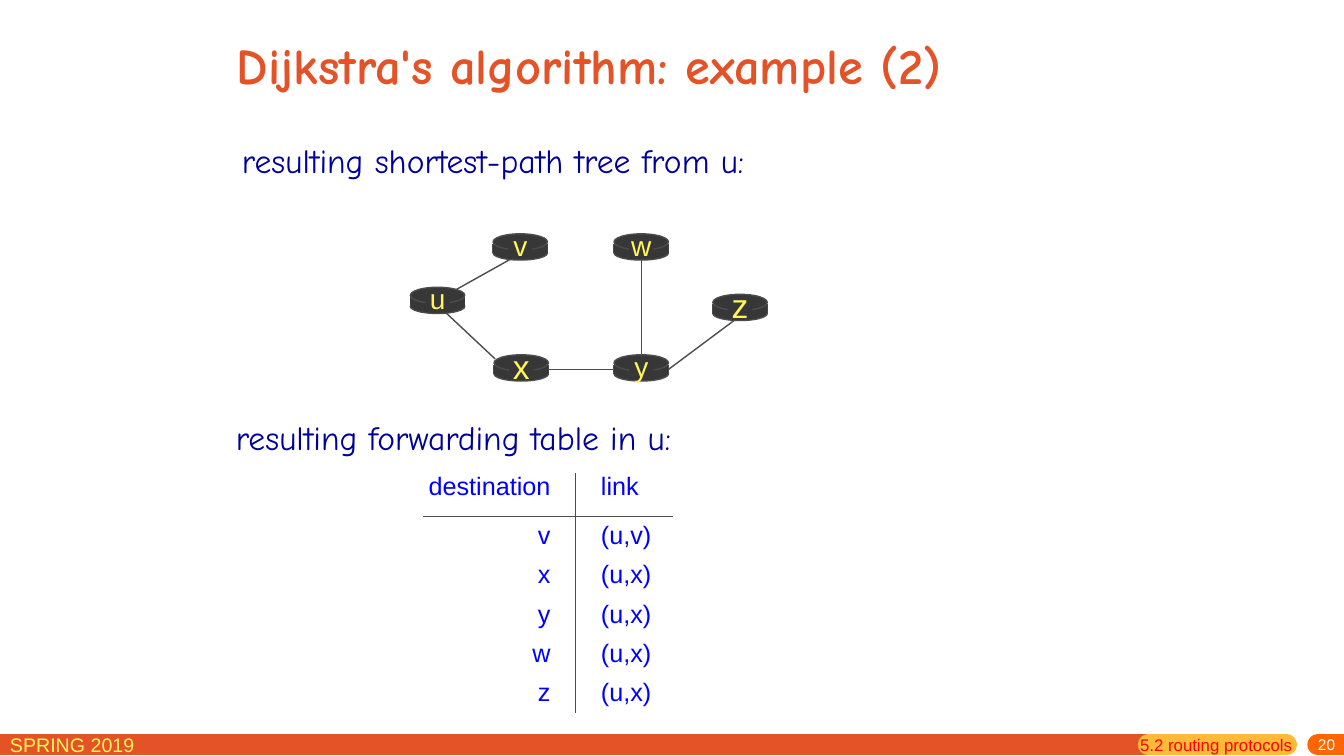
from lxml import etree
from pptx import Presentation
from pptx.dml.color import RGBColor
from pptx.enum.shapes import MSO_CONNECTOR, MSO_SHAPE
from pptx.enum.text import MSO_ANCHOR, MSO_AUTO_SIZE, PP_ALIGN
from pptx.oxml.ns import qn
from pptx.util import Inches, Pt

STRAIGHT = MSO_CONNECTOR.STRAIGHT
RECT, OVAL = MSO_SHAPE.RECTANGLE, MSO_SHAPE.OVAL
LEFT, MID, RIGHT = PP_ALIGN.LEFT, PP_ALIGN.CENTER, PP_ALIGN.RIGHT
TOP, CENTER = MSO_ANCHOR.TOP, MSO_ANCHOR.MIDDLE
FIXED = MSO_AUTO_SIZE.NONE

COLORS = {
    "orange": "E45327", "amber": "FFBA37", "badge": "FF6600",
    "lemon": "FFF65C", "white": "FFFFFF", "red": "FF0000",
    "navy": "000099", "blue": "0000FF", "gray": "4C4C4C", "dark": "373737",
}
HEAD, BODY = "Comic Neue", "Arial"


def color(name):
    return RGBColor.from_string(COLORS[name])


def write(frame, words, size, tint, font=BODY, align=LEFT, bold=False):
    para = frame.paragraphs[0]
    para.alignment = align
    run = para.add_run()
    run.text = words
    run.font.name = font
    run.font.size = Pt(size)
    run.font.bold = bold
    run.font.color.rgb = color(tint)


def inset(part, left, top, right, bottom):
    part.margin_left, part.margin_right = Inches(left), Inches(right)
    part.margin_top, part.margin_bottom = Inches(top), Inches(bottom)


def label(shapes, box, words, size, tint, font=BODY, align=LEFT):
    item = shapes.add_textbox(*map(Inches, box))
    item.text_frame.word_wrap = True
    write(item.text_frame, words, size, tint, font, align)
    return item.text_frame


def line(shapes, start, end, tint="gray", width=1):
    item = shapes.add_connector(STRAIGHT, *map(Inches, (*start, *end)))
    item.line.color.rgb = color(tint)
    item.line.width = Pt(width)
    etree.SubElement(item._element.spPr, qn("a:effectLst"))
    return item


def block(shapes, kind, x, y, w, h, edge=False):
    item = shapes.add_shape(kind, *map(Inches, (x, y, w, h)))
    item.shadow.inherit = False
    item.fill.solid()
    item.fill.fore_color.rgb = color("dark")
    if edge:
        item.line.color.rgb = color("gray")
        item.line.width = Pt(1)
    else:
        item.line.fill.background()
    return item


def title(slide, box):
    item = slide.shapes.title
    item.left, item.top, item.width, item.height = map(Inches, box)
    frame = item.text_frame
    frame.auto_size = FIXED
    frame.vertical_anchor = CENTER
    write(frame, "Dijkstra's algorithm: example (2)", 36, "orange", HEAD, bold=True)


def footer(slide, box):
    x, y, w, h = box
    shapes = slide.shapes
    mid = y + h / 2
    for start, end, tint in (
        (0, 11.39, "orange"), (11.39, 12.76, "amber"), (13.07, w, "badge"),
    ):
        bar = line(shapes, (x + start, mid), (x + end, mid), tint, 15)
        bar.line._get_or_add_ln().set("cap", "rnd")
    label(shapes, (x, y - 0.06, 2.29, 0.31), "SPRING 2019", 14, "lemon")
    number = label(shapes, (x + 10.75, y + 0.04, 2.59, 0.18), "20", 11, "white", align=RIGHT)
    inset(number, 0.1, 0, 0.1, 0.05)
    number.vertical_anchor = CENTER
    label(shapes, (x + 11.21, y - 0.04, 1.84, 0.31), "5.2 routing protocols", 12, "red")


def router(slide, x, y, name, size):
    shapes = slide.shapes.add_group_shape().shapes
    wide = 0.54
    block(shapes, OVAL, x, y + 0.12, wide, 0.14, True)
    for side in (x, x + wide):
        line(shapes, (side, y + 0.1), (side, y + 0.19))
    body = block(shapes, RECT, x, y + 0.1, wide, 0.09)
    block(shapes, OVAL, x, y, wide, 0.16, True)
    tag = block(shapes, RECT, x + 0.15, y + 0.02, 0.24, 0.23)
    frame = tag.text_frame
    frame.word_wrap = False
    frame.vertical_anchor = CENTER
    inset(frame, 0, 0, 0, 0.05)
    write(frame, name, size, "lemon", align=MID)
    return body, tag


def tree(slide, box):
    x, y = box[:2]
    shapes = slide.shapes

    def link(start, end):
        return line(shapes, (x + start[0], y + start[1]), (x + end[0], y + end[1]))

    link((0.46, 0.55), (1.05, 0.22))
    nodes = {}
    for name, dx, dy, size in (
        ("u", 0, 0.53, 20), ("x", 0.83, 1.2, 24), ("v", 0.82, 0, 20),
        ("w", 2.02, 0, 20), ("y", 2.02, 1.2, 20), ("z", 3, 0.6, 24),
    ):
        nodes[name] = router(slide, x + dx, y + dy, name, size)
    link((0.84, 1.24), (0.36, 0.79))
    drop = link((2.29, 0.25), (2.29, 1.22))
    drop.begin_connect(nodes["w"][1], 2)
    drop.end_connect(nodes["y"][1], 0)
    span = link((2.02, 1.35), (1.37, 1.35))
    span.begin_connect(nodes["y"][0], 1)
    span.end_connect(nodes["x"][0], 3)
    rise = link((2.56, 1.35), (3.21, 0.86))
    rise.begin_connect(nodes["y"][0], 3)


def border(cell, sides):
    props = cell._tc.get_or_add_tcPr()
    for side in "LRTB":
        edge = etree.SubElement(props, qn(f"a:ln{side}"), w=str(Pt(0.75)))
        if side in sides:
            fill = etree.SubElement(edge, qn("a:solidFill"))
            etree.SubElement(fill, qn("a:srgbClr"), val=COLORS["gray"])
        else:
            etree.SubElement(edge, qn("a:noFill"))


def routes(slide, box):
    rows = [("destination", "link"), ("v", "(u,v)")]
    rows += [(name, "(u,x)") for name in "xywz"]
    table = slide.shapes.add_table(len(rows), 2, *map(Inches, box)).table
    table.first_row = table.horz_banding = False
    first = 1.51
    for col, wide in zip(table.columns, (first, box[2] - first)):
        col.width = Inches(wide)
    top = 0.43
    step = (box[3] - top) / (len(rows) - 1)
    for r, pair in enumerate(rows):
        table.rows[r].height = Inches(step if r else top)
        for c, words in enumerate(pair):
            cell = table.cell(r, c)
            border(cell, "RL"[c] + {0: "B", 1: "T"}.get(r, ""))
            cell.fill.background()
            cell.vertical_anchor = CENTER if r else TOP
            inset(cell, 0.25 * c, 0, 0.25 * (1 - c), 0)
            write(cell.text_frame, words, 18, "blue", align=LEFT if c else RIGHT)


def main():
    deck = Presentation()
    deck.slide_width, deck.slide_height = Inches(13.33), Inches(7.5)
    slide = deck.slides.add_slide(deck.slide_layouts[5])
    footer(slide, (0, 7.28, 13.33, 0.22))
    title(slide, (2.25, 0.17, 8.5, 0.93))
    tree(slide, (4.07, 2.32, 3.55, 1.46))
    label(slide.shapes, (2.3, 1.34, 5.92, 0.5),
          "resulting shortest-path tree from u:", 24, "navy", HEAD)
    routes(slide, (4.2, 4.69, 2.48, 2.38))
    label(slide.shapes, (2.24, 4.09, 5.06, 0.5),
          "resulting forwarding table in u:", 24, "navy", HEAD)
    deck.save("out.pptx")


if __name__ == "__main__":
    main()
